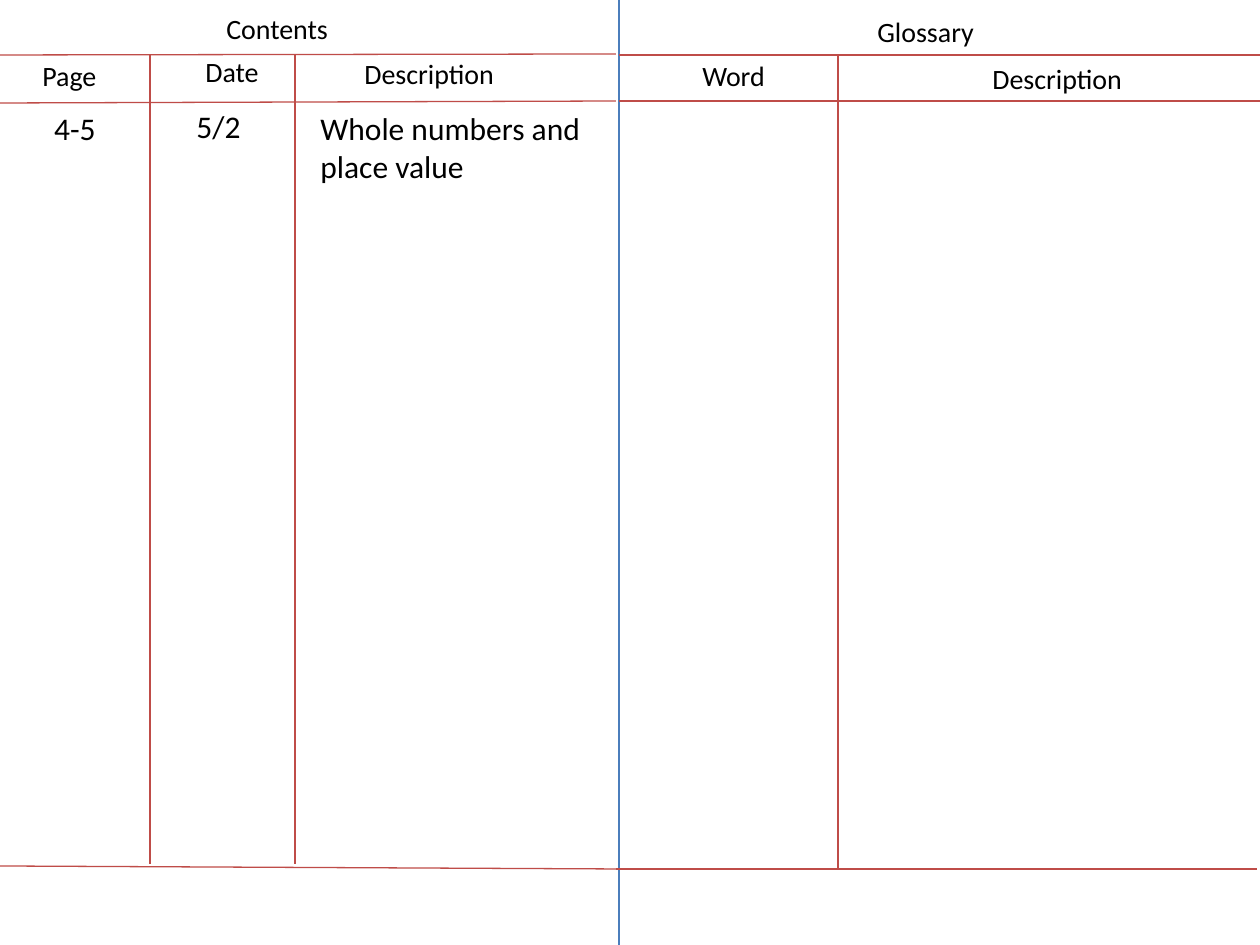
import pptx
import pptx.dml.color
import pptx.enum.shapes
import pptx.enum.text
import pptx.oxml.ns
import pptx.util
from lxml import etree

EMU_PER_PX = 914400 / 126
WIDTH, HEIGHT = 1260, 945
COLOURS = {"text": "000000", "rule": "BF4C48", "fold": "4B7EBC"}


def px(length):
    return pptx.util.Emu(round(length * EMU_PER_PX))


def colour(name):
    return pptx.dml.color.RGBColor.from_string(COLOURS[name])


def write(frame, text, *, size, centred=False, font="Calibri", fill="text"):
    """Put one formatted paragraph into a text frame."""
    paragraph = frame.paragraphs[0]
    if centred:
        paragraph.alignment = pptx.enum.text.PP_ALIGN.CENTER
    run = paragraph.add_run()
    run.text = text
    run.font.size = pptx.util.Pt(size)
    run.font.name = font
    run.font.color.rgb = colour(fill)


class NotebookPage:
    def __init__(self, slide, line_width=0.75):
        self.slide = slide
        self.line_width = pptx.util.Pt(line_width)

    def line(self, x1, y1, x2, y2, fill="rule"):
        connector = self.slide.shapes.add_connector(
            pptx.enum.shapes.MSO_CONNECTOR.STRAIGHT, px(x1), px(y1), px(x2), px(y2))
        connector.line.color.rgb = colour(fill)
        connector.line.width = self.line_width
        properties = connector._element.spPr
        etree.SubElement(properties, pptx.oxml.ns.qn("a:effectLst"))

    def label(self, text, left, top, width, height=47, wrap=True, size=16, centred=False):
        box = self.slide.shapes.add_textbox(px(left), px(top), px(width), px(height))
        frame = box.text_frame
        frame.word_wrap = wrap
        frame.auto_size = pptx.enum.text.MSO_AUTO_SIZE.SHAPE_TO_FIT_TEXT
        write(frame, text, size=size, centred=centred)


def main():
    presentation = pptx.Presentation()
    presentation.slide_width = px(WIDTH)
    presentation.slide_height = px(HEIGHT)
    page = NotebookPage(presentation.slides.add_slide(presentation.slide_layouts[6]))

    fold, contents_right = 619, 616
    top, header_bottom, bottom = 55, 101, 869
    page.line(fold, 0, fold, HEIGHT, fill="fold")

    # The contents rules slope slightly.
    for start, end in ((top, 54), (103, header_bottom), (866, bottom)):
        page.line(0, start, contents_right, end)
    for y, left, right in ((top, fold, WIDTH), (header_bottom, fold, WIDTH),
                           (bottom, contents_right, 1257)):
        page.line(left, y, right, y)
    for x, end in ((150, 864), (295, 864), (838, bottom)):
        page.line(x, top, x, end)

    for text, left, y, width, wrap in (
        ("Contents", 214, 5, 129, False),
        ("Page", 30, 52, 81, False),
        ("Date", 193, 48, 79, False),
        ("Description", 352, 50, 193, True),
        ("Glossary", 865, 8, 140, True),
        ("Word", 690, 52, 111, True),
        ("Description", 980, 55, 156, True),
    ):
        page.label(text, left, y, width, wrap=wrap)

    page.label("4-5", 0, 103, 150, 51, size=18, centred=True)
    page.label("5/2", 146, 101, 145, 51, size=18, centred=True)
    page.label("Whole numbers and place value", 308, 103, 308, 89, size=18)

    presentation.save("out.pptx")


if __name__ == "__main__":
    main()
